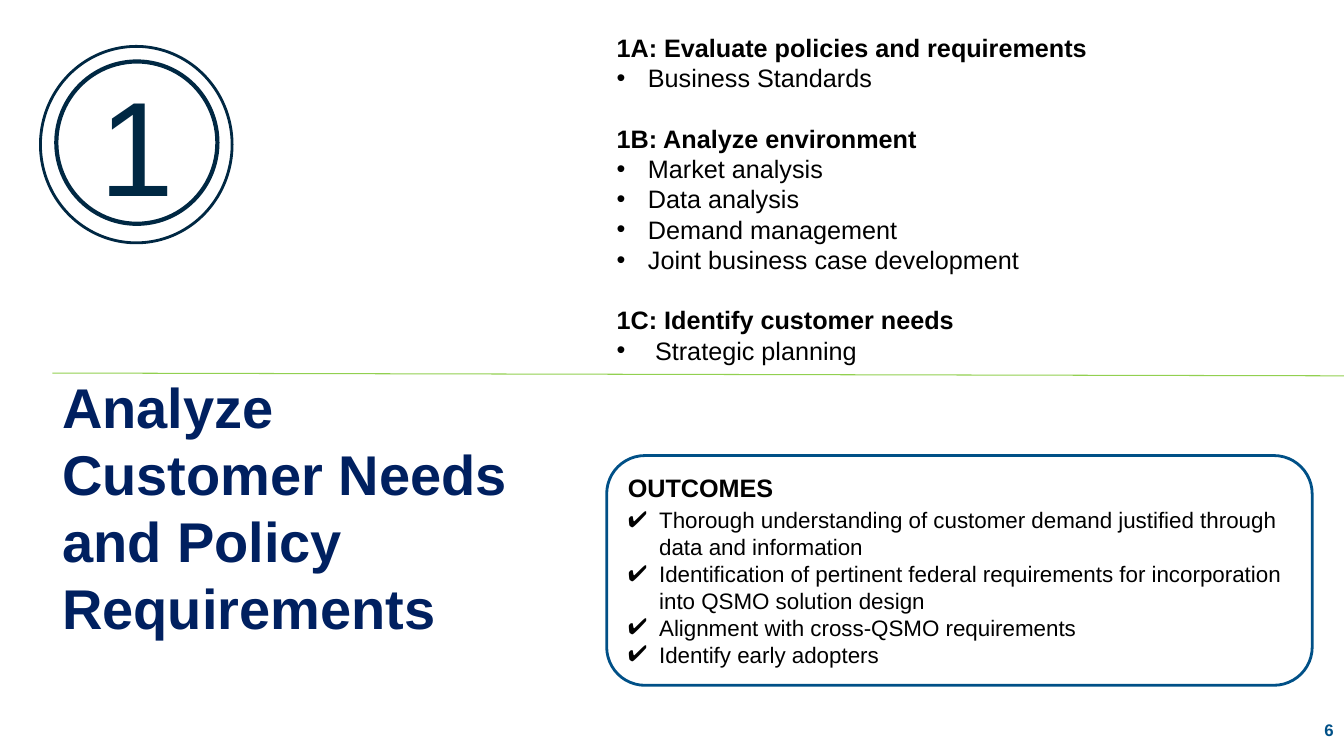
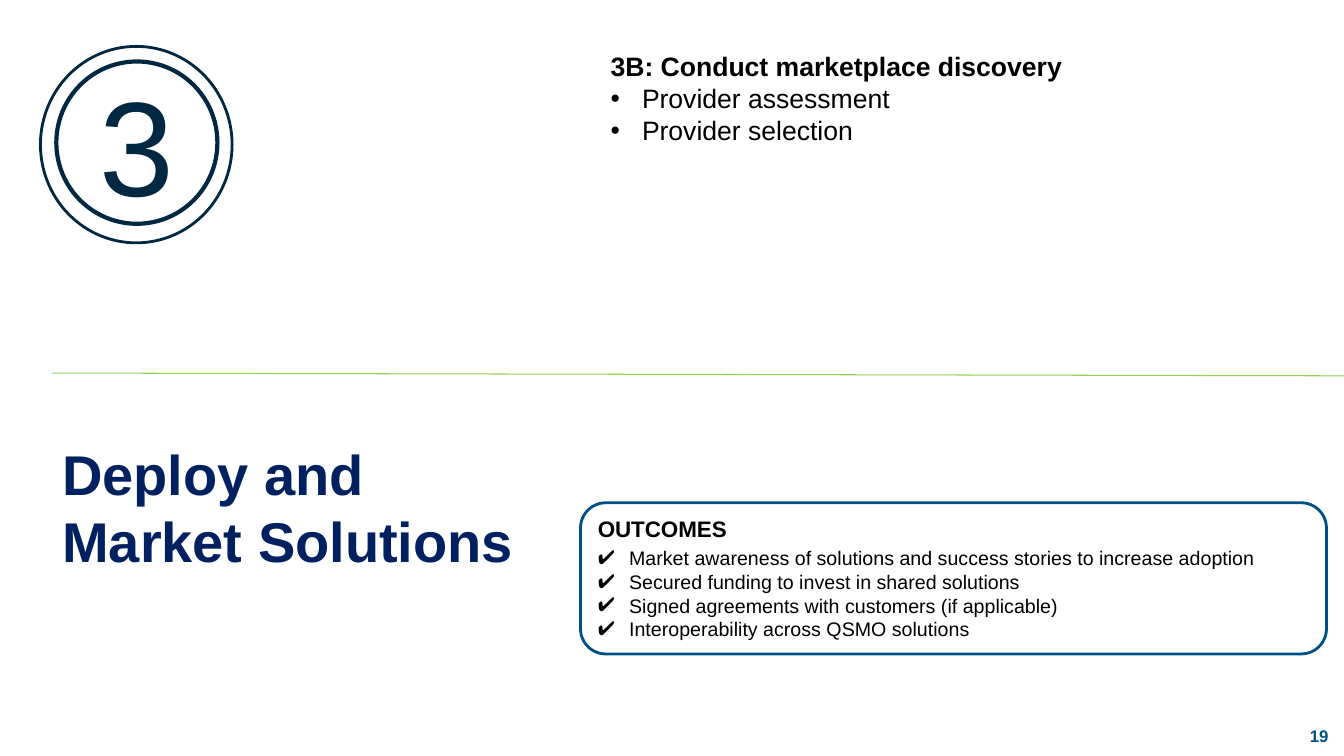
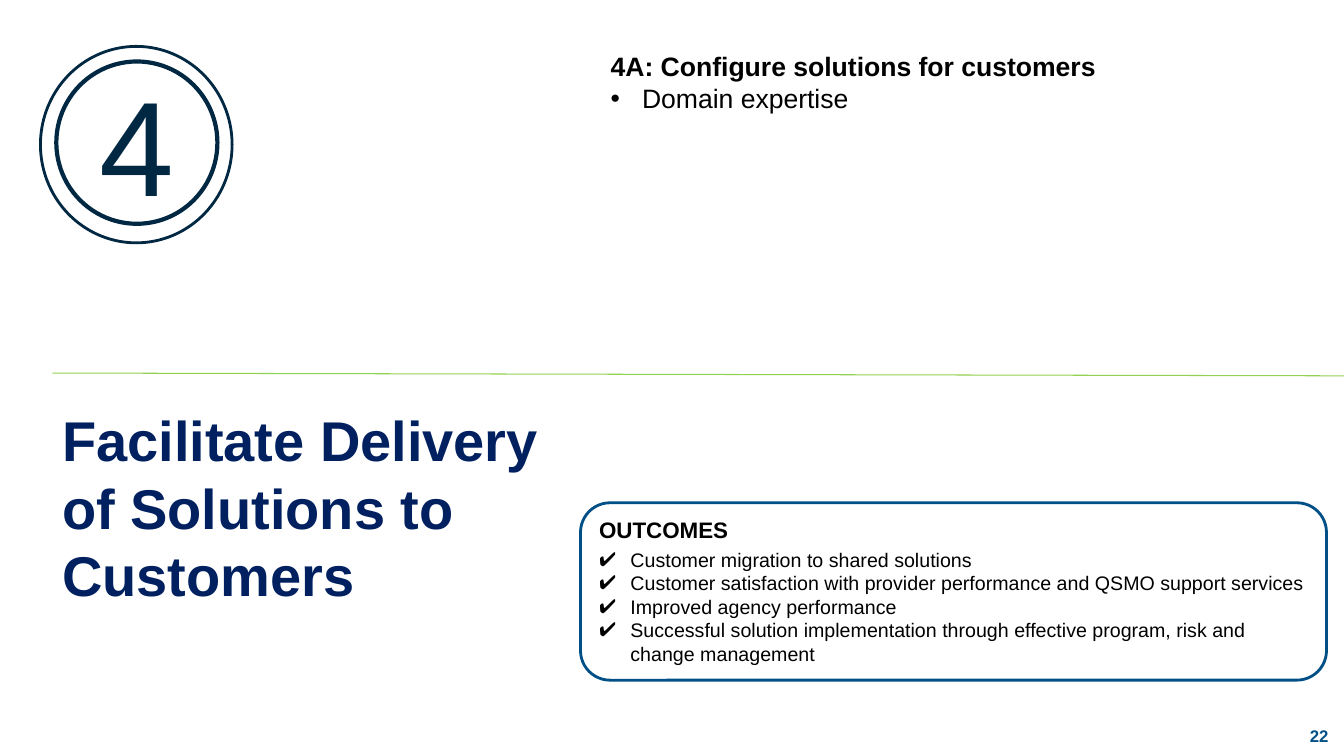
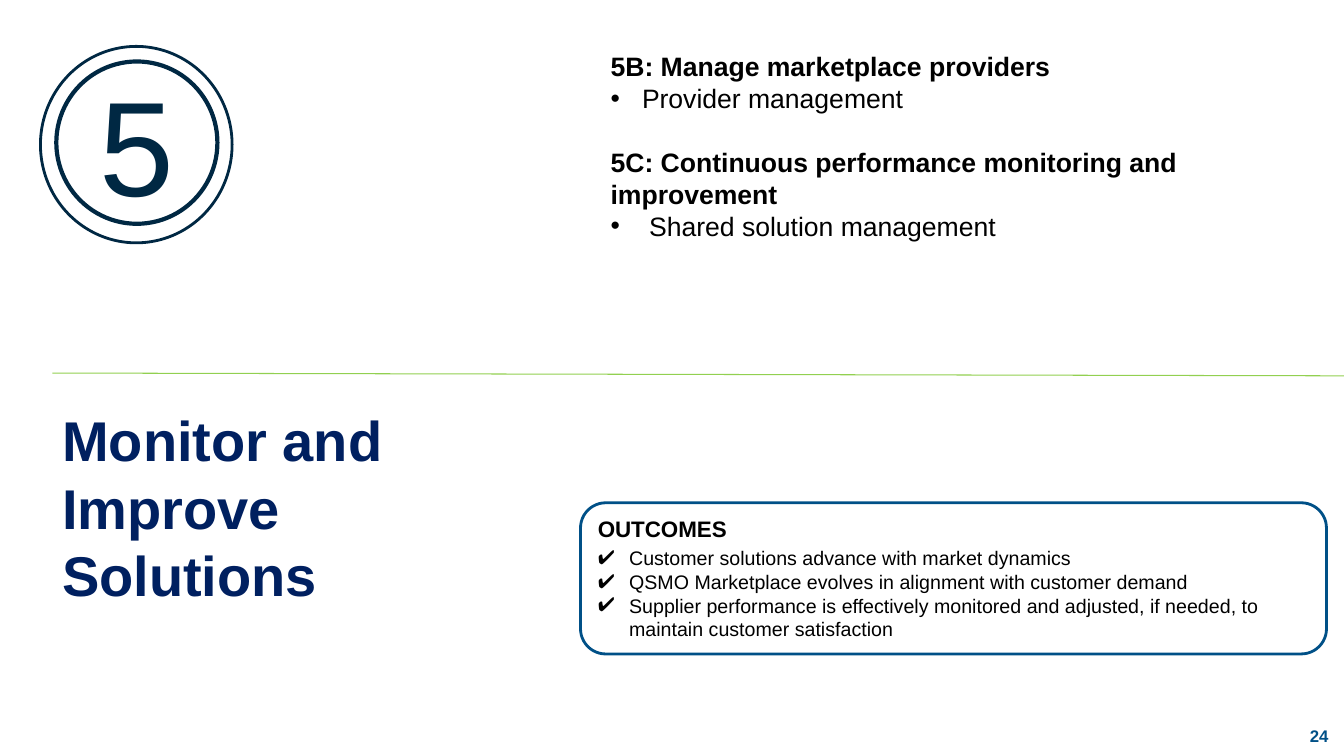
from pptx import Presentation
from pptx.dml.color import RGBColor
from pptx.enum.shapes import MSO_CONNECTOR, MSO_SHAPE
from pptx.enum.text import MSO_ANCHOR, MSO_AUTO_SIZE, PP_ALIGN
from pptx.oxml.ns import qn
from pptx.util import Cm, Pt
from lxml import etree

OVAL, ROUNDED = MSO_SHAPE.OVAL, MSO_SHAPE.ROUNDED_RECTANGLE
STRAIGHT = MSO_CONNECTOR.STRAIGHT
TOP, MIDDLE, BOTTOM = MSO_ANCHOR.TOP, MSO_ANCHOR.MIDDLE, MSO_ANCHOR.BOTTOM
LEFT, CENTER, RIGHT = PP_ALIGN.LEFT, PP_ALIGN.CENTER, PP_ALIGN.RIGHT
NO_FIT = MSO_AUTO_SIZE.NONE

FONT = "Arial"
BLACK, WHITE, NAVY, INK, BLUE, GREEN = (
    "000000", "FFFFFF", "002060", "002843", "005087", "92D050")
INDENT, WIDE_INDENT = 0.79, 0.97
LINE_HEIGHT = 1.2

# Boxes are left, top, width, height in cm
TITLE_BOX = (1.32, 8.26, 12.65, 9.02)
INNER_RING = (1.42, 1.55, 4.06, 4.09)
OUTER_RING = (1.02, 1.17, 4.83, 4.95)
RULE = (1.32, 9.4, 33.87, 9.47)

# Where the parts go: the first slide is fuller than the others
FULL = {"steps": (15.29, 0.69, 17.78), "outcomes": (15.29, 11.48, 17.78),
        "page": (31.83, 17.45, 2.03, 1.45),
        "step_size": 18, "head_size": 18, "item_size": 16}
LIGHT = {"steps": (15.14, 1.14, 17.78), "outcomes": (14.63, 12.67, 18.8),
         "page": (31.7, 17.6, 2.03, 1.45),
         "step_size": 19, "head_size": 16, "item_size": 14}

# Steps are heading, bullet indent, bullets
PHASES = [
    {"number": "1", "page": "6", "design": FULL,
     "title": "Analyze Customer Needs and Policy Requirements",
     "steps_height": 8.71, "outcomes_height": 5.79,
     "steps": [
         ("1A: Evaluate policies and requirements", INDENT,
          ["Business Standards"]),
         ("1B: Analyze environment", INDENT,
          ["Market analysis", "Data analysis", "Demand management",
           "Joint business case development"]),
         ("1C: Identify customer needs", WIDE_INDENT,
          ["Strategic planning"])],
     "outcomes": [
         "Thorough understanding of customer demand justified through "
         "data and information",
         "Identification of pertinent federal requirements for "
         "incorporation into QSMO solution design",
         "Alignment with cross-QSMO requirements",
         "Identify early adopters"]},
    {"number": "3", "page": "19", "design": LIGHT,
     "title": "Deploy and Market Solutions",
     "steps_height": 4.32, "outcomes_height": 3.81,
     "steps": [
         ("3B: Conduct marketplace discovery", INDENT,
          ["Provider assessment", "Provider selection"])],
     "outcomes": [
         "Market awareness of solutions and success stories to increase "
         "adoption",
         "Secured funding to invest in shared solutions",
         "Signed agreements with customers (if applicable)",
         "Interoperability across QSMO solutions"]},
    {"number": "4", "page": "22", "design": LIGHT,
     "title": "Facilitate Delivery of Solutions to Customers",
     "steps_height": 3.51, "outcomes_height": 4.47,
     "steps": [
         ("4A: Configure solutions for customers", INDENT,
          ["Domain expertise"])],
     "outcomes": [
         "Customer migration to shared solutions",
         "Customer satisfaction with provider performance and QSMO support "
         "services",
         "Improved agency performance",
         "Successful solution implementation through effective program, "
         "risk and change management"]},
    {"number": "5", "page": "24", "design": LIGHT,
     "title": "Monitor and Improve Solutions",
     "steps_height": 5.94, "outcomes_height": 3.81,
     "steps": [
         ("5B: Manage marketplace providers", INDENT,
          ["Provider management"]),
         ("5C: Continuous performance monitoring and improvement",
          WIDE_INDENT, ["Shared solution management"])],
     "outcomes": [
         "Customer solutions advance with market dynamics",
         "QSMO Marketplace evolves in alignment with customer demand",
         "Supplier performance is effectively monitored and adjusted, if "
         "needed, to maintain customer satisfaction"]},
]


def rgb(color):
    return RGBColor.from_string(color)


def cm(lengths):
    return [Cm(v) for v in lengths]


def set_frame(sp, anchor=TOP, inset=0.13):
    tf = sp.text_frame
    values = {"word_wrap": True, "auto_size": NO_FIT,
              "vertical_anchor": anchor,
              "margin_left": Cm(0.25), "margin_right": Cm(0.25),
              "margin_top": Cm(inset), "margin_bottom": Cm(inset)}
    for name, value in values.items():
        setattr(tf, name, value)
    return tf


def set_bullet(p, mark, indent):
    pPr = p._p.get_or_add_pPr()
    pPr.set("marL", str(Cm(indent)))
    pPr.set("indent", str(-Cm(indent)))
    color = etree.SubElement(pPr, qn("a:buClr"))
    etree.SubElement(color, qn("a:srgbClr"), val=BLACK)
    etree.SubElement(pPr, qn("a:buFont"), typeface=FONT)
    etree.SubElement(pPr, qn("a:buChar"), char=mark)


def write(tf, text, size, color=BLACK, bold=False, align=LEFT, before=0,
          mark=None, indent=0):
    p = tf.paragraphs[0]
    if p.runs:
        p = tf.add_paragraph()
    p.alignment = align
    p.space_before = Pt(before)
    if mark:
        set_bullet(p, mark, indent)
    r = p.add_run()
    r.text = text
    for name, value in {"name": FONT, "size": Pt(size),
                        "bold": bold}.items():
        setattr(r.font, name, value)
    r.font.color.rgb = rgb(color)


def add_outline(s, kind, box, color, width, fill=None):
    sp = s.shapes.add_shape(kind, *cm(box))
    sp.shadow.inherit = False
    if fill:
        sp.fill.solid()
        sp.fill.fore_color.rgb = rgb(fill)
    else:
        sp.fill.background()
    sp.line.color.rgb = rgb(color)
    sp.line.width = Pt(width)
    return sp


def add_frame(s, phase):
    # Dividing rule
    rule = s.shapes.add_connector(STRAIGHT, *cm(RULE))
    rule.line.color.rgb = rgb(GREEN)
    rule.line.width = Pt(0.75)
    etree.SubElement(rule._element.spPr, qn("a:effectLst"))

    # Numbered rings
    inner = add_outline(s, OVAL, INNER_RING, INK, 3)
    write(set_frame(inner, MIDDLE), phase["number"], 96, INK, align=CENTER)
    add_outline(s, OVAL, OUTER_RING, INK, 2)

    # Title
    title = s.shapes.title
    title.left, title.top, title.width, title.height = cm(TITLE_BOX)
    write(set_frame(title, MIDDLE, 0.25), phase["title"], 40, NAVY, True)

    # Page number
    page = s.shapes.add_textbox(*cm(phase["design"]["page"]))
    write(set_frame(page, BOTTOM, 0.25), phase["page"], 12, BLUE, True, RIGHT)


def add_steps(s, phase):
    design = phase["design"]
    size = design["step_size"]
    box = (*design["steps"], phase["steps_height"])
    tf = set_frame(s.shapes.add_textbox(*cm(box)))
    for i, (heading, indent, items) in enumerate(phase["steps"]):
        write(tf, heading, size, bold=True,
              before=size * LINE_HEIGHT if i else 0)
        for item in items:
            write(tf, item, size, mark="•", indent=indent)


def add_outcomes(s, phase):
    design = phase["design"]
    box = (*design["outcomes"], phase["outcomes_height"])
    sp = add_outline(s, ROUNDED, box, BLUE, 2, WHITE)
    tf = set_frame(sp)
    write(tf, "OUTCOMES", design["head_size"], bold=True)
    for i, item in enumerate(phase["outcomes"]):
        write(tf, item, design["item_size"], before=0 if i else 3,
              mark="✔", indent=INDENT)


def main():
    prs = Presentation()
    prs.slide_width, prs.slide_height = Cm(33.87), Cm(19.05)
    for phase in PHASES:
        s = prs.slides.add_slide(prs.slide_layouts[5])
        add_frame(s, phase)
        add_steps(s, phase)
        add_outcomes(s, phase)
    prs.save("out.pptx")


if __name__ == "__main__":
    main()
